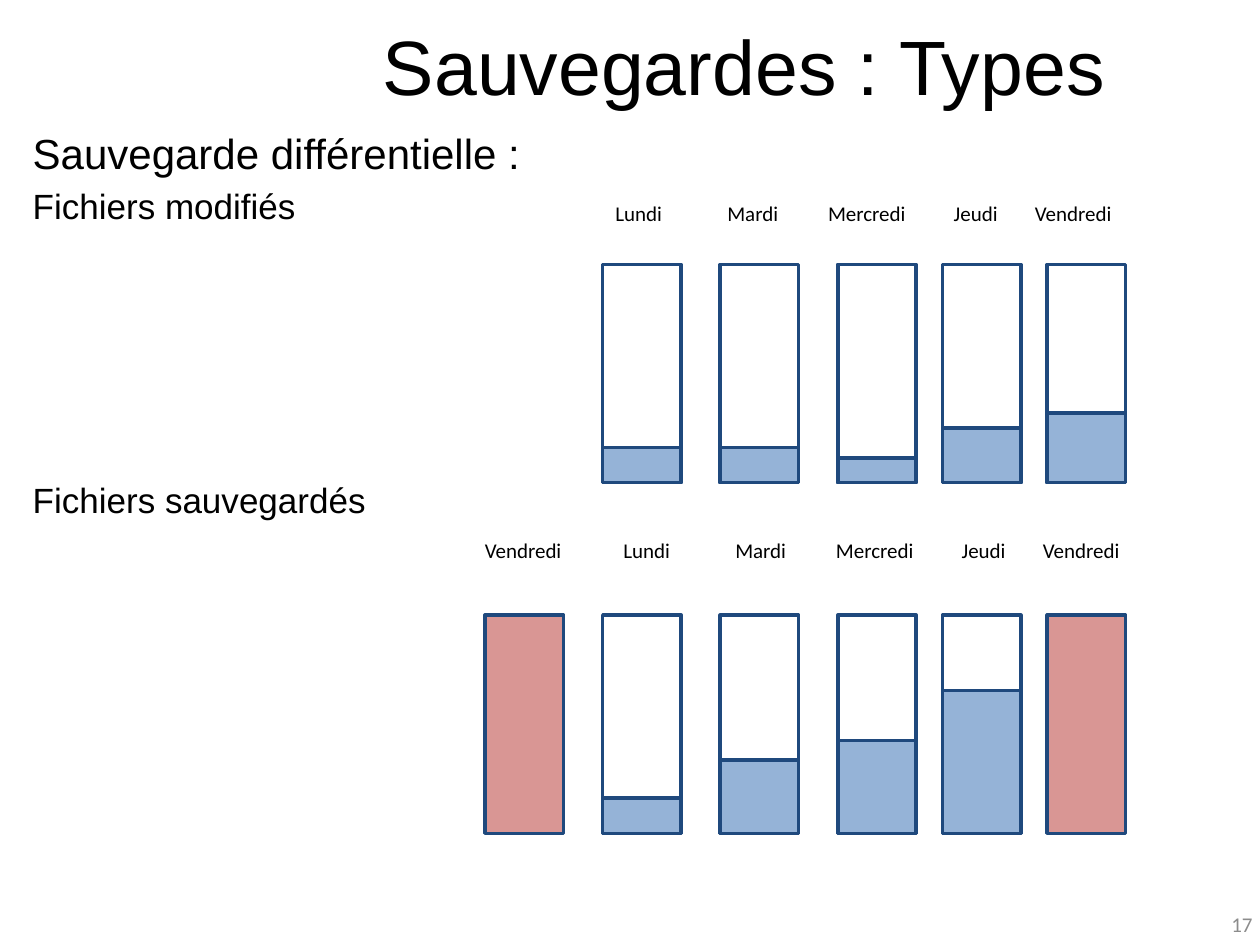
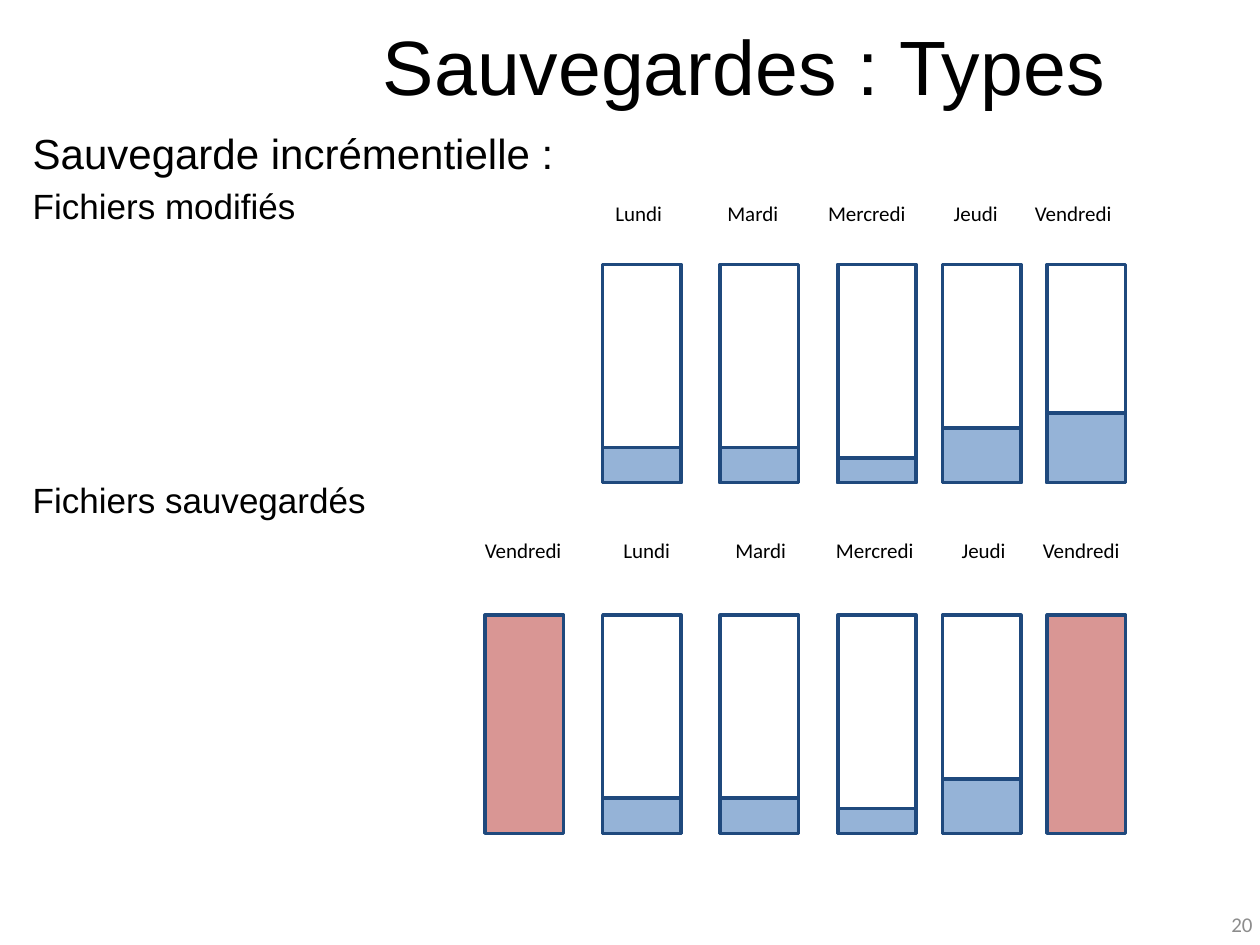
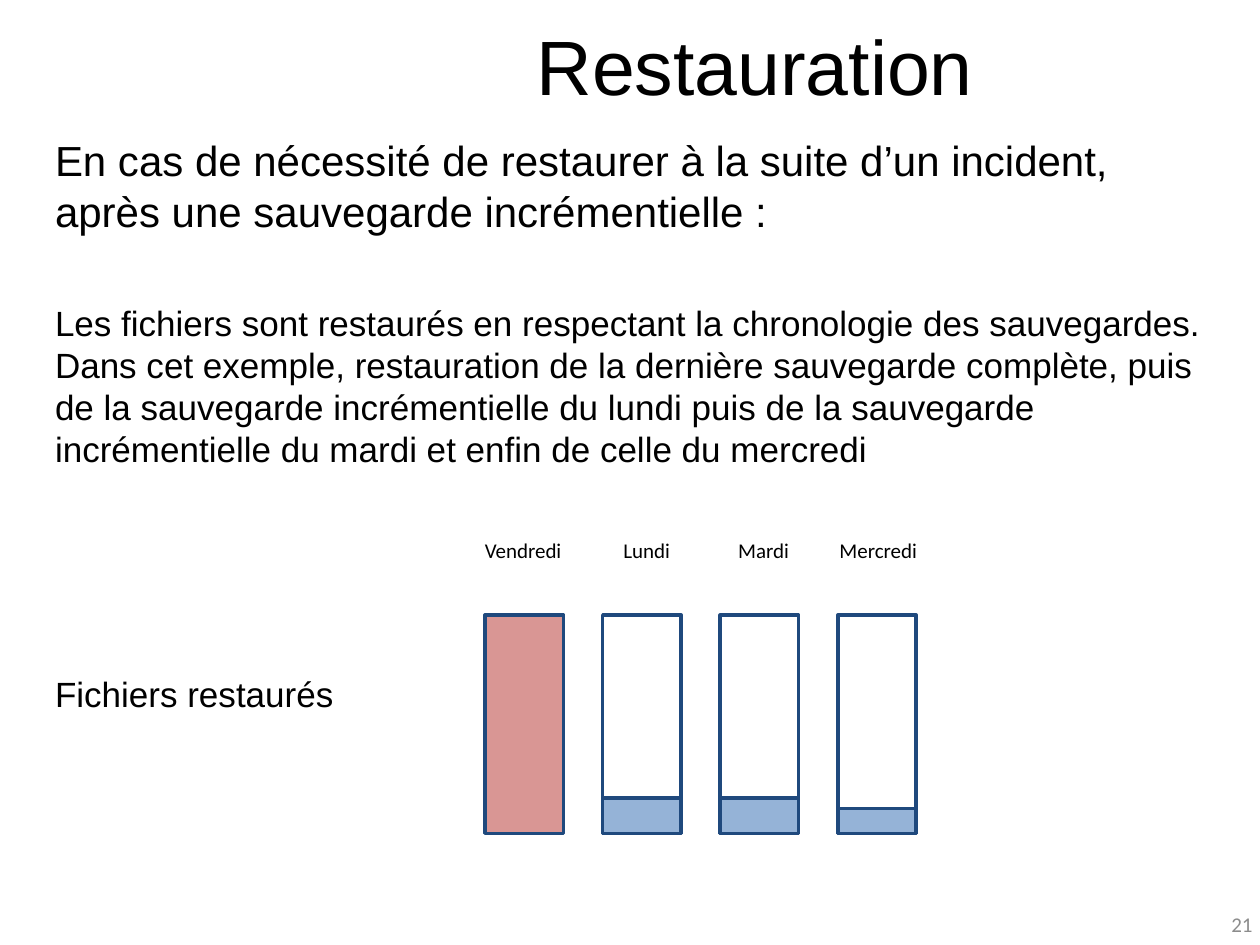
from dataclasses import dataclass

from pptx import Presentation
from pptx.dml.color import RGBColor
from pptx.enum.shapes import MSO_SHAPE
from pptx.enum.text import MSO_ANCHOR, PP_ALIGN
from pptx.util import Cm, Pt


@dataclass(frozen=True)
class Theme:
    text: RGBColor = RGBColor(0x00, 0x00, 0x00)
    page_number: RGBColor = RGBColor(0x8C, 0x8C, 0x8C)
    outline: RGBColor = RGBColor(0x1F, 0x49, 0x7D)
    partial: RGBColor = RGBColor(0x95, 0xB3, 0xD7)
    full: RGBColor = RGBColor(0xD9, 0x96, 0x94)
    body_font: str = "Arial"
    label_font: str = "Calibri"
    title_size: int = 44
    heading_size: int = 24
    body_size: int = 20
    label_size: int = 12
    line_height: float = 1.2


THEME = Theme()

# Lengths in centimetres
BAR_WIDTH, BAR_HEIGHT = 1.58, 4.4
BAR_OFFSETS = (0, 2.37, 4.74, 7.11, 9.22, 11.33)
BARS_LEFT = 9.78
MODIFIED_TOP, SAVED_TOP = 5.33, 12.4
LABEL_HEIGHT = 0.89
MODIFIED_LABELS_BOX = (10.97, 3.94)
SAVED_LABELS_BOX = (9.35, 10.72)
WEEK_WIDTHS = (2.59, 2.01, 2.59, 1.8, 2.13)
RESTORED_WIDTHS = (2.39, 2.59, 2.13, 2.49)

WEEK = ("Lundi", "Mardi", "Mercredi", "Jeudi", "Vendredi")
FULL = BAR_HEIGHT
DAILY_CHANGES = (0.71, 0.71, 0.5, 1.1, 1.4)
DIFFERENTIAL = (FULL, 0.71, 1.48, 1.87, 2.88, FULL)
INCREMENTAL = (FULL, *DAILY_CHANGES[:4], FULL)


def style(paragraph, size, font=THEME.body_font, color=THEME.text, align=PP_ALIGN.LEFT):
    paragraph.font.size = Pt(size)
    paragraph.font.name = font
    paragraph.font.color.rgb = color
    paragraph.alignment = align


def add_page(deck, title, number):
    slide = deck.slides.add_slide(deck.slide_layouts[5])
    heading = slide.shapes.title
    heading.left, heading.top, heading.width, heading.height = Cm(5.1), Cm(0), Cm(20.24), Cm(2.59)
    heading.text_frame.text = title
    heading.text_frame.vertical_anchor = MSO_ANCHOR.MIDDLE
    style(heading.text_frame.paragraphs[0], THEME.title_size, align=PP_ALIGN.CENTER)

    footer = slide.shapes.add_textbox(Cm(19.58), Cm(18.11), Cm(5.92), Cm(1.02)).text_frame
    footer.word_wrap = True
    footer.vertical_anchor = MSO_ANCHOR.MIDDLE
    footer.text = str(number)
    style(footer.paragraphs[0], THEME.label_size, THEME.label_font,
          THEME.page_number, PP_ALIGN.RIGHT)
    return slide


def add_body(slide, left, top, height, entries):
    """Each entry holds its text, type size and space before, in points."""
    body = slide.shapes.add_textbox(Cm(left), Cm(top), Cm(23.7), Cm(height)).text_frame
    body.word_wrap = True
    for index, (text, size, gap) in enumerate(entries):
        paragraph = body.paragraphs[0] if index == 0 else body.add_paragraph()
        paragraph.text = text
        paragraph.space_before = Pt(gap)
        paragraph.line_spacing = Pt(size * THEME.line_height)
        style(paragraph, size)


def add_block(slide, left, top, height, fill=None):
    block = slide.shapes.add_shape(MSO_SHAPE.RECTANGLE, Cm(left), Cm(top),
                                   Cm(BAR_WIDTH), Cm(height))
    block.shadow.inherit = False
    block.line.color.rgb = THEME.outline
    block.line.width = Pt(2)
    if fill is None:
        block.fill.background()
    else:
        block.fill.solid()
        block.fill.fore_color.rgb = fill


def add_bars(slide, left, top, levels, first_slot=0):
    for offset, level in zip(BAR_OFFSETS[first_slot:], levels):
        if level == FULL:
            add_block(slide, left + offset, top, FULL, THEME.full)
        else:
            add_block(slide, left + offset, top, BAR_HEIGHT)
            add_block(slide, left + offset, top + BAR_HEIGHT - level, level, THEME.partial)


def add_day_labels(slide, box, days, widths):
    left, top = box
    table = slide.shapes.add_table(1, len(days), Cm(left), Cm(top),
                                   Cm(sum(widths)), Cm(LABEL_HEIGHT)).table
    table.first_row = table.horz_banding = False
    for column, cell, day, width in zip(table.columns, table.iter_cells(), days, widths):
        column.width = Cm(width)
        cell.fill.background()
        cell.text = day
        style(cell.text_frame.paragraphs[0], THEME.label_size, THEME.label_font,
              align=PP_ALIGN.CENTER)


def add_backup_slide(deck, number, heading, saved_levels):
    slide = add_page(deck, "Sauvegardes : Types ", number)
    add_body(slide, 0.41, 2.44, 14.88, (
        (heading, THEME.heading_size, 0),
        ("Fichiers modifiés", THEME.body_size, 4),
        ("Fichiers sauvegardés", THEME.body_size, 144),
    ))
    add_bars(slide, BARS_LEFT, MODIFIED_TOP, DAILY_CHANGES, first_slot=1)
    add_day_labels(slide, MODIFIED_LABELS_BOX, ("", *WEEK), (0.61, *WEEK_WIDTHS))
    add_bars(slide, BARS_LEFT, SAVED_TOP, saved_levels)
    add_day_labels(slide, SAVED_LABELS_BOX, ("Vendredi", *WEEK), (2.39, *WEEK_WIDTHS))


def add_restore_slide(deck, number):
    slide = add_page(deck, "Restauration", number)
    add_body(slide, 0.86, 2.59, 15.72, (
        ("En cas de nécessité de restaurer à la suite d’un incident, "
         "après une sauvegarde incrémentielle :", THEME.heading_size, 0),
        ("Les fichiers sont restaurés en respectant la chronologie des sauvegardes. "
         "Dans cet exemple, restauration de la dernière sauvegarde complète, puis de la "
         "sauvegarde incrémentielle du lundi puis de la sauvegarde incrémentielle du mardi "
         "et enfin de celle du mercredi", THEME.body_size, 37.6),
        ("Fichiers restaurés", THEME.body_size, 116),
    ))
    add_bars(slide, BARS_LEFT, SAVED_TOP, INCREMENTAL[:4])
    add_day_labels(slide, SAVED_LABELS_BOX, ("Vendredi", *WEEK[:3]), RESTORED_WIDTHS)


def main():
    deck = Presentation()
    deck.slide_width, deck.slide_height = Cm(25.4), Cm(19.05)
    add_backup_slide(deck, 17, "Sauvegarde différentielle :", DIFFERENTIAL)
    add_backup_slide(deck, 20, "Sauvegarde incrémentielle :", INCREMENTAL)
    add_restore_slide(deck, 21)
    deck.save("out.pptx")


if __name__ == "__main__":
    main()
